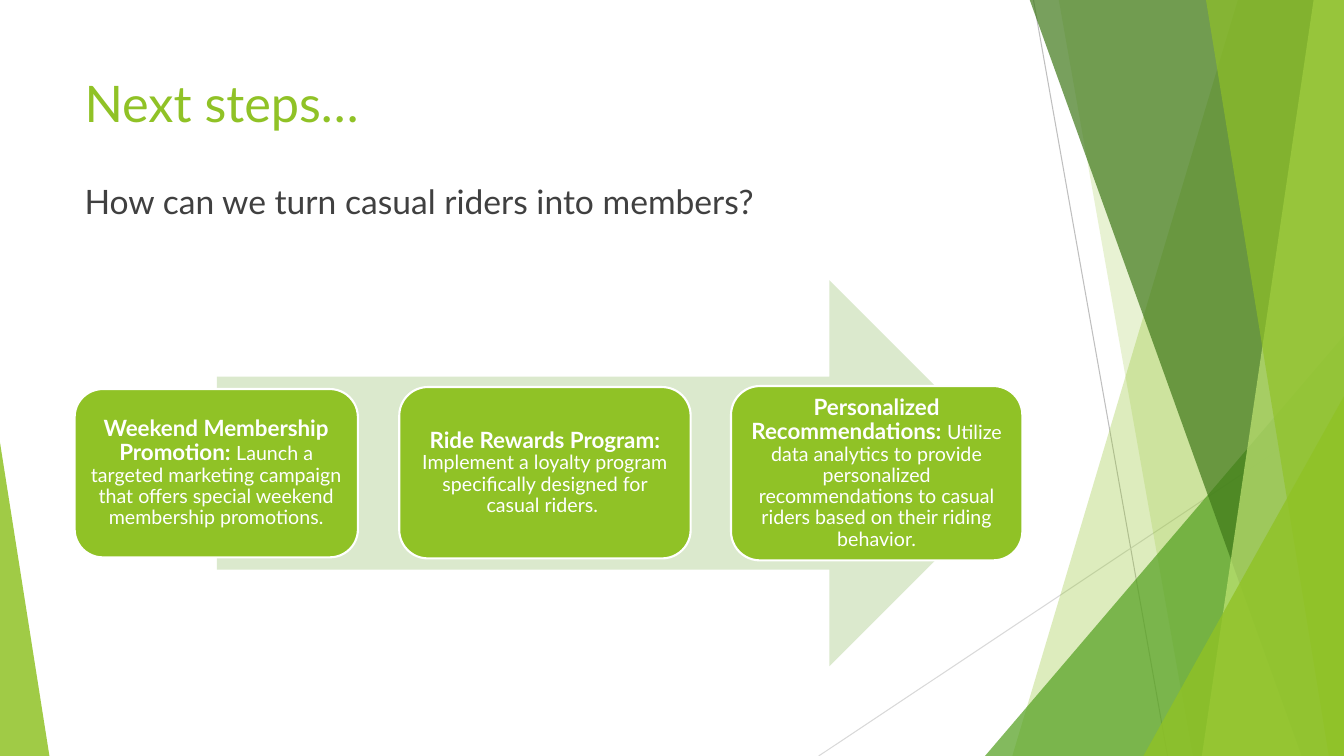
from dataclasses import dataclass

from lxml.etree import SubElement
from pptx import Presentation
from pptx.dml.color import RGBColor
from pptx.enum.shapes import MSO_CONNECTOR, MSO_SHAPE
from pptx.enum.text import MSO_ANCHOR, PP_ALIGN
from pptx.oxml.ns import qn
from pptx.shapes.autoshape import Shape
from pptx.slide import Slide
from pptx.text.text import _Run as Run
from pptx.util import Emu, Pt

PX = 9144  # EMU per px, 100 px to the inch
WIDTH, HEIGHT = 1333, 750
TOP = -1  # the facets start just above the slide


@dataclass(frozen=True)
class Theme:
    font: str = "Lato"
    green: str = "90C226"
    mid_green: str = "54A021"
    dark_green: str = "3F7819"
    light_green: str = "C0E474"
    pale_green: str = "DBE9CD"
    text: str = "404040"
    white: str = "FFFFFF"
    title_size: int = 36
    subtitle_size: int = 24
    heading_size: int = 16
    detail_size: int = 14


THEME = Theme()


@dataclass(frozen=True)
class Box:
    left: int
    top: int
    width: int
    height: int

    def emu(self) -> tuple[Emu, ...]:
        return tuple(Emu(value * PX) for value in (self.left, self.top, self.width, self.height))


@dataclass(frozen=True)
class Ray:
    start: tuple[int, int]
    end: tuple[int, int]
    color: str


@dataclass(frozen=True)
class Facet:
    """A panel running to the right edge, given by its left corners."""
    top_left: int
    bottom_left: int
    color: str
    opacity: int


@dataclass(frozen=True)
class Wedge:
    """A right-angled triangle whose apex lies at 0 (left) or 1 (right)."""
    box: Box
    apex: int
    color: str
    opacity: int


@dataclass(frozen=True)
class Step:
    box: Box
    heading: str
    detail: str


RAYS = [
    Ray((1025, 0), (1158, HEIGHT), "BFBFBF"),
    Ray((WIDTH, 403), (812, HEIGHT), "D9D9D9"),
]
DECORATION = [
    Facet(1228, 1004, THEME.green, 30),
    Facet(1050, 1183, THEME.green, 20),
    Wedge(Box(977, 333, 356, 417), 1, THEME.mid_green, 72),
    Facet(1021, 1291, THEME.dark_green, 70),
    Facet(1303, 1192, THEME.light_green, 70),
    Facet(1196, 1318, THEME.green, 65),
    Wedge(Box(1134, 393, 199, 357), 1, THEME.green, 80),
    Wedge(Box(0, 439, 49, 311), 0, THEME.green, 85),
]
STEPS = [
    Step(Box(74, 386, 281, 167), "Weekend Membership Promotion: ",
         "Launch a targeted marketing campaign that offers special weekend membership promotions."),
    Step(Box(396, 384, 289, 170), "Ride Rewards Program: ",
         "Implement a loyalty program specifically designed for casual riders. "),
    Step(Box(725, 383, 289, 173), "Personalized Recommendations: ",
         "Utilize data analytics to provide personalized recommendations to casual riders "
         "based on their riding behavior."),
]


def paint(shape: Shape, color: str, opacity: int = 100) -> None:
    shape.shadow.inherit = False
    shape.line.fill.background()
    shape.fill.solid()
    shape.fill.fore_color.rgb = RGBColor.from_string(color)
    if opacity < 100:
        color_element = shape.fill._xPr.find(qn("a:solidFill"))[0]
        SubElement(color_element, qn("a:alpha"), val=str(opacity * 1000))


def style_run(run: Run, size: int, color: str, bold: bool = False) -> None:
    run.font.name = THEME.font
    run.font.size = Pt(size)
    run.font.bold = bold
    run.font.color.rgb = RGBColor.from_string(color)


def draw_ray(slide: Slide, ray: Ray) -> None:
    ends = [Emu(value * PX) for value in ray.start + ray.end]
    line = slide.shapes.add_connector(MSO_CONNECTOR.STRAIGHT, *ends)
    line.line.width = Pt(0.75)
    line.line.color.rgb = RGBColor.from_string(ray.color)
    SubElement(line._element.spPr, qn("a:effectLst"))


def draw_facet(slide: Slide, facet: Facet) -> None:
    builder = slide.shapes.build_freeform(facet.top_left, TOP, scale=PX)
    builder.add_line_segments([(WIDTH, TOP), (WIDTH, HEIGHT), (facet.bottom_left, HEIGHT)])
    paint(builder.convert_to_shape(), facet.color, facet.opacity)


def draw_wedge(slide: Slide, wedge: Wedge) -> None:
    shape = slide.shapes.add_shape(MSO_SHAPE.ISOSCELES_TRIANGLE, *wedge.box.emu())
    shape.adjustments[0] = wedge.apex
    paint(shape, wedge.color, wedge.opacity)


def draw_text(slide: Slide, box: Box, text: str, size: int, color: str,
              anchor: MSO_ANCHOR) -> None:
    frame = slide.shapes.add_textbox(*box.emu()).text_frame
    frame.word_wrap = True
    frame.vertical_anchor = anchor
    frame.text = text
    style_run(frame.paragraphs[0].runs[0], size, color)


def draw_step(slide: Slide, step: Step) -> None:
    shape = slide.shapes.add_shape(MSO_SHAPE.ROUNDED_RECTANGLE, *step.box.emu())
    paint(shape, THEME.green)
    shape.line.color.rgb = RGBColor.from_string(THEME.white)
    shape.line.width = Pt(1.5)

    frame = shape.text_frame
    frame.word_wrap = True
    frame.vertical_anchor = MSO_ANCHOR.MIDDLE
    inset = Emu(7 * PX)
    frame.margin_left = frame.margin_right = frame.margin_top = frame.margin_bottom = inset
    paragraph = frame.paragraphs[0]
    paragraph.alignment = PP_ALIGN.CENTER
    paragraph.line_spacing = 0.9
    paragraph.text = step.heading
    style_run(paragraph.runs[0], THEME.heading_size, THEME.white, bold=True)
    detail = paragraph.add_run()
    detail.text = step.detail
    style_run(detail, THEME.detail_size, THEME.white)


def main() -> None:
    presentation = Presentation()
    presentation.slide_width = Emu(WIDTH * PX)
    presentation.slide_height = Emu(HEIGHT * PX)
    slide = presentation.slides.add_slide(presentation.slide_layouts[6])

    # Green facets behind the content
    for ray in RAYS:
        draw_ray(slide, ray)
    for part in DECORATION:
        if isinstance(part, Facet):
            draw_facet(slide, part)
        else:
            draw_wedge(slide, part)

    # Title and question
    draw_text(slide, Box(74, 67, 940, 144), "Next steps…",
              THEME.title_size, THEME.green, MSO_ANCHOR.TOP)
    draw_text(slide, Box(74, 161, 757, 63), "How can we turn casual riders into members?",
              THEME.subtitle_size, THEME.text, MSO_ANCHOR.BOTTOM)

    # Arrow with the three steps
    arrow = slide.shapes.add_shape(MSO_SHAPE.RIGHT_ARROW, *Box(215, 278, 799, 383).emu())
    paint(arrow, THEME.pale_green)
    for step in STEPS:
        draw_step(slide, step)

    presentation.save("out.pptx")


if __name__ == "__main__":
    main()
